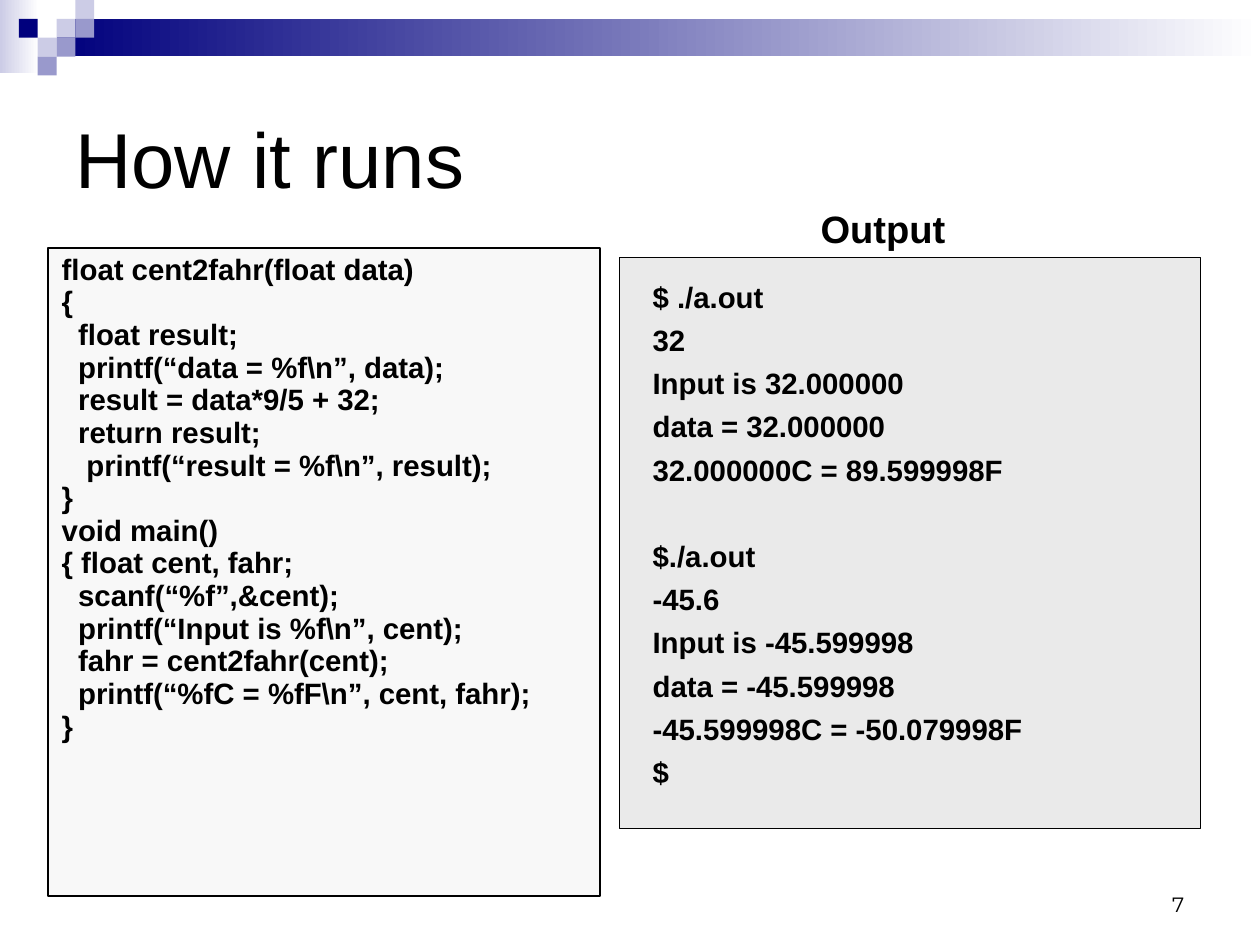
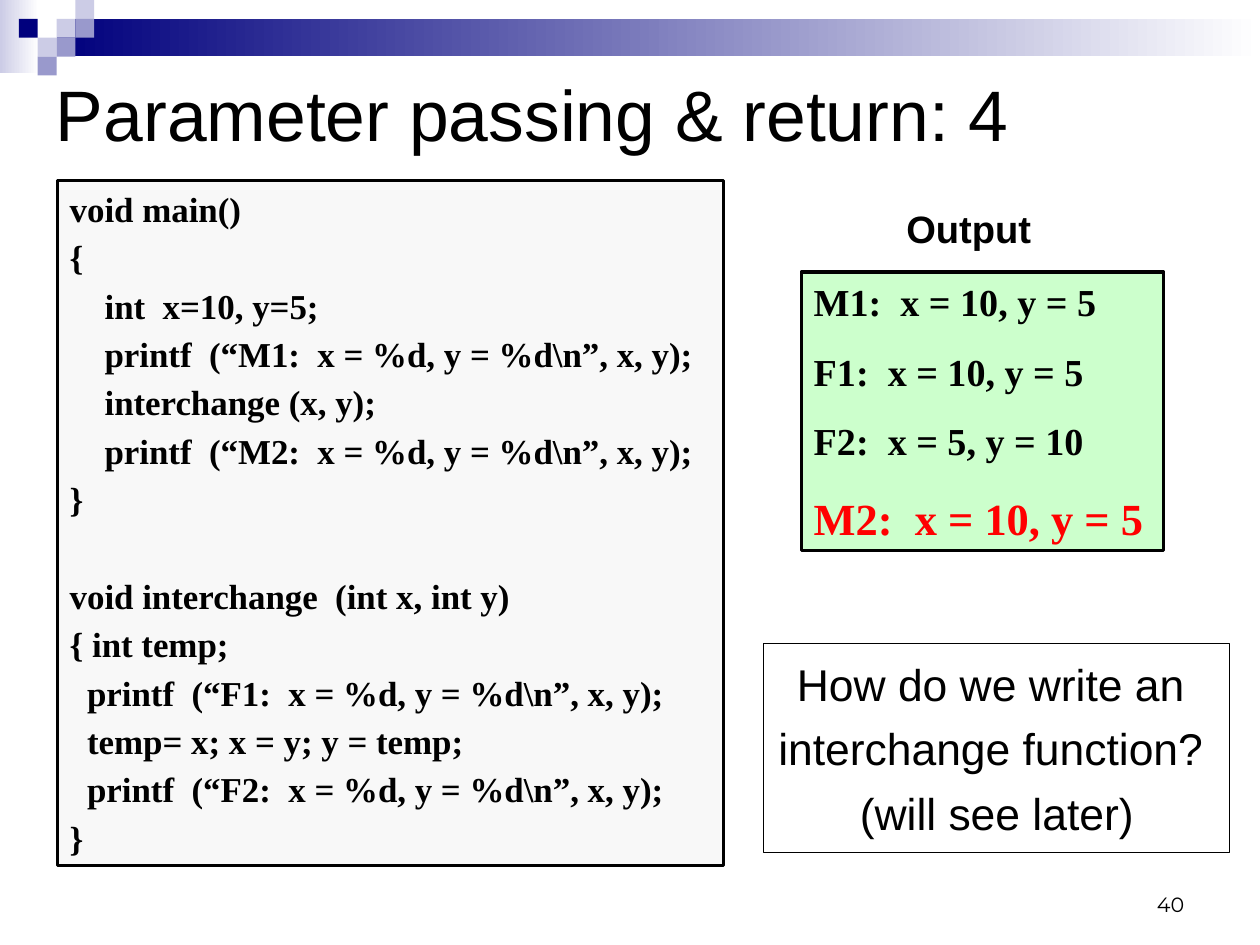
from pptx import Presentation
from pptx.dml.color import RGBColor
from pptx.enum.shapes import MSO_SHAPE as SHAPE
from pptx.enum.text import MSO_ANCHOR as ANCHOR, PP_ALIGN as ALIGN
from pptx.util import Inches, Pt

WIDTH, HEIGHT = 28 / 2.54, 21 / 2.54
BLACK, WHITE, RED = "000000", "FFFFFF", "FF0000"
NAVY, PERIWINKLE, LAVENDER = "00007D", "9999CC", "CCCCE6"
CODE_FILL, CONSOLE_FILL, RESULT_FILL = "F8F8F8", "EAEAEA", "CCFFCC"
SANS, SERIF, NUMBER_FONT = "Arial", "Times New Roman", "Montserrat"
SPACE_WIDTH = {SANS: 0.28, SERIF: 0.25}
LINE_HEIGHT = 1.2
INSETS = (0.11, 0.06)
BAND_HEIGHT = 0.33
CELL = BAND_HEIGHT / 2
CHECKER = [(3, 1, LAVENDER), (4, 0, LAVENDER), (4, 1, PERIWINKLE),
           (2, 2, LAVENDER), (1, 1, NAVY), (3, 2, PERIWINKLE),
           (2, 3, PERIWINKLE)]

CONVERTER_CODE = r"""float cent2fahr(float data)
{
  float result;
  printf(“data = %f\n”, data);
  result = data*9/5 + 32;
  return result;
   printf(“result = %f\n”, result);
}
void main()
{ float cent, fahr;
  scanf(“%f”,&cent);
  printf(“Input is %f\n”, cent);
  fahr = cent2fahr(cent);
  printf(“%fC = %fF\n”, cent, fahr);
}"""

CONVERTER_OUTPUT = """$ ./a.out
32
Input is 32.000000
data = 32.000000
32.000000C = 89.599998F

$./a.out
-45.6
Input is -45.599998
data = -45.599998
-45.599998C = -50.079998F
$"""

INTERCHANGE_CODE = r"""void main()
{
    int  x=10, y=5;
    printf  (“M1:  x = %d, y = %d\n”, x, y);
    interchange (x, y);
    printf  (“M2:  x = %d, y = %d\n”, x, y);
}

void interchange  (int x, int y)
{ int temp;
  printf  (“F1:  x = %d, y = %d\n”, x, y);
  temp= x; x = y; y = temp;
  printf  (“F2:  x = %d, y = %d\n”, x, y);
}"""

INTERCHANGE_OUTPUT = """M1:  x = 10, y = 5
F1:  x = 10, y = 5
F2:  x = 5, y = 10"""

QUESTION = "How do we write an \ninterchange function? \n(will see later)"


def rgb(color):
    return RGBColor.from_string(color)


def add_box(slide, box, fill=None, line=None):
    sp = slide.shapes.add_shape(SHAPE.RECTANGLE, *map(Inches, box))
    sp.shadow.inherit = False
    if isinstance(fill, tuple):
        sp.fill.gradient()
        sp.fill.gradient_angle = 0
        for stop, color in zip(sp.fill.gradient_stops, fill):
            stop.color.rgb = rgb(color)
    elif fill:
        sp.fill.solid()
        sp.fill.fore_color.rgb = rgb(fill)
    else:
        sp.fill.background()
    if line:
        sp.line.color.rgb = rgb(BLACK)
        sp.line.width = Pt(line)
    else:
        sp.line.fill.background()
    return sp


def add_label(slide, box):
    return slide.shapes.add_textbox(*map(Inches, box))


def write(sp, text, size, font=SANS, color=BLACK, bold=False, align=ALIGN.LEFT,
          anchor=ANCHOR.TOP, before=0, spacing=None, insets=INSETS, wrap=True):
    tf = sp.text_frame
    tf.word_wrap = wrap
    tf.vertical_anchor = anchor
    tf.margin_left = tf.margin_right = Inches(insets[0])
    tf.margin_top = tf.margin_bottom = Inches(insets[1])
    gap = before
    for line in text.split("\n"):
        if not line:
            gap += size * LINE_HEIGHT + before
            continue
        content = line.lstrip()
        p = tf.add_paragraph() if tf.text else tf.paragraphs[0]
        p.alignment = align
        p.space_before = Pt(gap)
        gap = before
        if spacing:
            p.line_spacing = spacing
        depth = len(line) - len(content)
        if depth:
            indent = Pt(depth * SPACE_WIDTH[font] * size)
            p._p.get_or_add_pPr().set("marL", str(indent))
        r = p.add_run()
        r.text = content
        r.font.size, r.font.name, r.font.bold = Pt(size), font, bold
        r.font.color.rgb = rgb(color)


def add_header(slide):
    add_box(slide, (0, 0, 0.34, 0.64), (LAVENDER, WHITE))
    add_box(slide, (0.5, CELL, WIDTH - 0.5, BAND_HEIGHT), (NAVY, WHITE))
    for col, row, color in CHECKER:
        add_box(slide, (col * CELL, row * CELL, CELL, CELL), color)


def add_base(prs, title, title_box, title_size, number):
    slide = prs.slides.add_slide(prs.slide_layouts[6])
    add_header(slide)
    write(add_label(slide, (7.9, 7.53, 2.57, 0.55)), number, 13,
          font=NUMBER_FONT, align=ALIGN.RIGHT, anchor=ANCHOR.BOTTOM)
    write(add_label(slide, title_box), title, title_size, anchor=ANCHOR.MIDDLE)
    return slide


def add_output_heading(slide, left):
    write(add_label(slide, (left, 1.8, 1.5, 0.4)), "Output", 24,
          bold=True, insets=(0, 0))


def add_listing(slide, panel, offset, text, fill, **fmt):
    add_box(slide, panel, fill, 0.75)
    left, top, width, height = panel
    dx, dy = offset
    label = add_label(slide, (left + dx, top + dy, width - dx, height - dy))
    write(label, text, 18.5, bold=True, before=5, **fmt)


def add_results(slide, box):
    sp = add_box(slide, box, RESULT_FILL, 2)
    write(sp, INTERCHANGE_OUTPUT, 24, font=SERIF, bold=True, before=15)
    write(sp, "M2:  x = 10, y = 5", 28, font=SERIF, color=RED, bold=True,
          before=17.5)


def build_converter(prs):
    slide = add_base(prs, "How it runs", (0.55, 0.55, 9.92, 1.65), 49, "7")
    add_listing(slide, (5.42, 2.25, 5.08, 5), (0.18, 0.13), CONVERTER_OUTPUT,
                CONSOLE_FILL)
    add_listing(slide, (0.42, 2.17, 4.83, 5.67), (0.01, 0.05), CONVERTER_CODE,
                CODE_FILL, spacing=0.7)
    add_output_heading(slide, 7.18)


def build_interchange(prs):
    slide = add_base(prs, "Parameter passing & return: 4",
                     (0.38, 0.56, 10.41, 0.86), 45, "40")
    write(add_box(slide, (0.5, 1.58, 5.83, 5.99), CODE_FILL, 2),
          INTERCHANGE_CODE, 22, font=SERIF, bold=True, before=4.1)
    add_results(slide, (7.01, 2.38, 3.17, 2.44))
    write(add_box(slide, (6.68, 5.63, 4.08, 1.83), line=0.75), QUESTION, 28,
          align=ALIGN.CENTER, anchor=ANCHOR.MIDDLE, before=7,
          insets=(0, 0), wrap=False)
    add_output_heading(slide, 7.93)


def main():
    prs = Presentation()
    prs.slide_width, prs.slide_height = Inches(WIDTH), Inches(HEIGHT)
    build_converter(prs)
    build_interchange(prs)
    prs.save("out.pptx")


if __name__ == "__main__":
    main()
